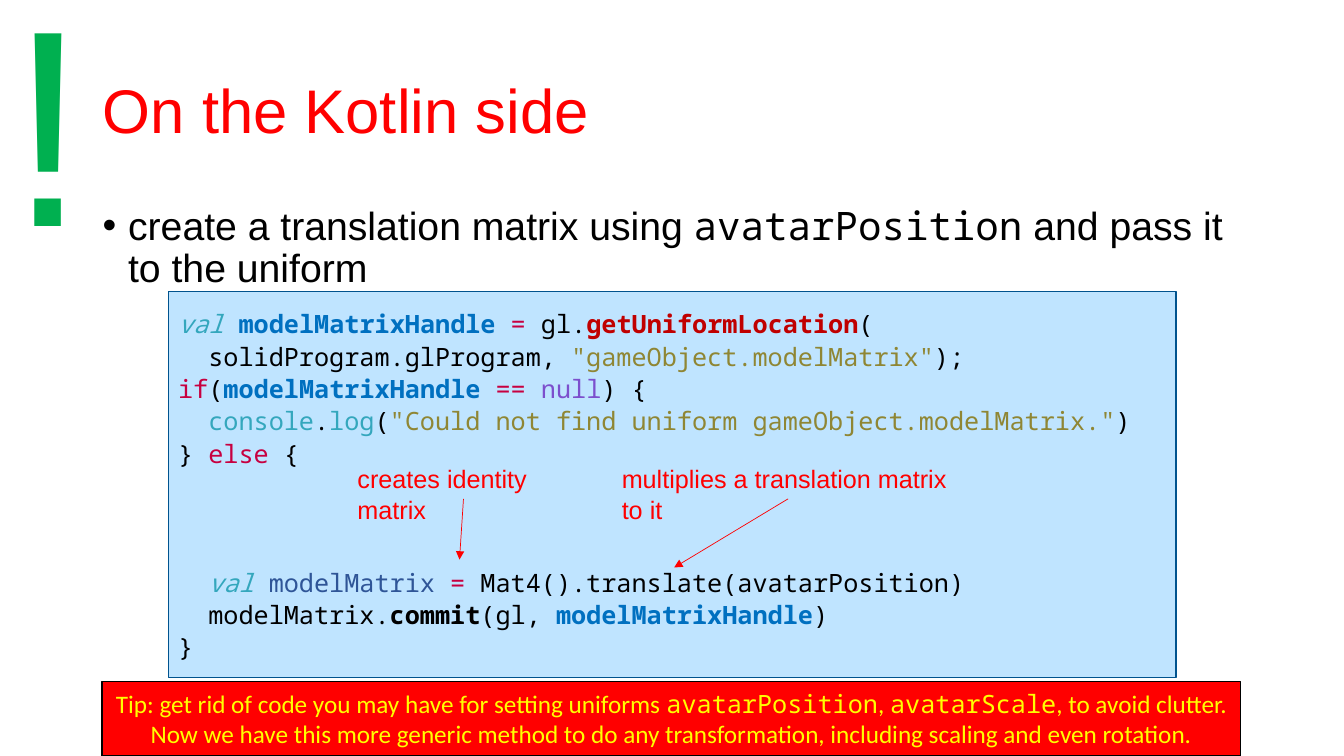
"""Build a slide about passing a translation matrix to a uniform from Kotlin."""
from dataclasses import dataclass

from lxml import etree
from pptx import Presentation
from pptx.dml.color import RGBColor
from pptx.enum.shapes import MSO_CONNECTOR, MSO_SHAPE
from pptx.enum.text import MSO_ANCHOR, PP_ALIGN
from pptx.oxml.ns import qn
from pptx.util import Cm, Pt

RECTANGLE = MSO_SHAPE.RECTANGLE
STRAIGHT = MSO_CONNECTOR.STRAIGHT
TOP, MIDDLE = MSO_ANCHOR.TOP, MSO_ANCHOR.MIDDLE
LEFT, CENTER = PP_ALIGN.LEFT, PP_ALIGN.CENTER
TITLE_ONLY = 5


@dataclass(frozen=True)
class Theme:
    """Fonts, type sizes and colours of the slide."""
    sans: str = "Arial"
    mono: str = "Noto Sans Mono"
    tip_font: str = "Calibri"
    title_size: int = 44
    body_size: int = 28
    small_size: int = 18
    mark_size: int = 200
    black: str = "000000"
    red: str = "FF0000"
    yellow: str = "FFFF00"
    green: str = "00B050"
    code_fill: str = "BFE4FF"
    code_line: str = "00538E"
    type_name: str = "34A7BD"
    handle: str = "0070C0"
    keyword: str = "C70040"
    call: str = "C00000"
    string: str = "8F8634"
    constant: str = "7C4FCD"
    variable: str = "2F5597"


THEME = Theme()
PLAIN = {}
MONO = {"font": THEME.mono}
TYPE = {"color": THEME.type_name}
DECLARATION = {"color": THEME.type_name, "italic": True}
HANDLE = {"color": THEME.handle, "bold": True}
KEYWORD = {"color": THEME.keyword}
CALL = {"color": THEME.call, "bold": True}
STRING = {"color": THEME.string}
CONSTANT = {"color": THEME.constant}
VARIABLE = {"color": THEME.variable}
STRONG = {"bold": True}

CODE_INDENT = 0.76
ANNOTATION_GAP = 69
CODE_LINES = [
    (0, 0, [("val ", DECLARATION), ("modelMatrixHandle ", HANDLE), ("= ", KEYWORD),
            ("gl.", PLAIN), ("getUniformLocation", CALL), ("(", PLAIN)]),
    (1, 0, [("solidProgram.glProgram, ", PLAIN),
            ('"gameObject.modelMatrix"', STRING), (");", PLAIN)]),
    (0, 0, [("if", KEYWORD), ("(", PLAIN), ("modelMatrixHandle ", HANDLE),
            ("== ", KEYWORD), ("null", CONSTANT), (") {", PLAIN)]),
    (1, 0, [("console", TYPE), (".", PLAIN), ("log", TYPE), ("(", PLAIN),
            ('"Could not find uniform gameObject.modelMatrix."', STRING), (")", PLAIN)]),
    (0, 0, [("}", PLAIN), (" else ", KEYWORD), ("{", PLAIN)]),
    (1, ANNOTATION_GAP, [("val ", DECLARATION), ("modelMatrix ", VARIABLE), ("= ", KEYWORD),
                         ("Mat4().translate(avatarPosition)", PLAIN)]),
    (1, 0, [("modelMatrix.", PLAIN), ("commit", STRONG), ("(gl, ", PLAIN),
            ("modelMatrixHandle", HANDLE), (")", PLAIN)]),
    (0, 0, [("}", PLAIN)]),
]
ANNOTATIONS = [
    ("creates identity matrix", 8.76, 5.89, (11.68, 12.57), (11.58, 14.1)),
    ("multiplies a translation matrix to it", 15.42, 8.86, (19.86, 12.57), (16.99, 14.3)),
]


def format_run(run, text, *, font, size, color, bold=False, italic=False):
    """Put text into a run and format it."""
    run.text = text
    run.font.name = font
    run.font.size = Pt(size)
    run.font.color.rgb = RGBColor.from_string(color)
    run.font.bold = bold
    run.font.italic = italic


def write_paragraph(paragraph, content, *, align=LEFT, spacing=1.0, before=0,
                    margin=0, hanging=0, bullet=None, **base):
    """Fill a paragraph from a string or from (text, format) pairs."""
    paragraph.alignment = align
    paragraph.line_spacing = spacing
    paragraph.space_before = Pt(before)
    properties = paragraph._p.get_or_add_pPr()
    properties.set("marL", str(Cm(margin)))
    properties.set("indent", str(-Cm(hanging)))
    if bullet:
        etree.SubElement(properties, qn("a:buFont"), typeface=THEME.sans)
        etree.SubElement(properties, qn("a:buChar"), char=bullet)
    pairs = [(content, PLAIN)] if isinstance(content, str) else content
    for text, changes in pairs:
        format_run(paragraph.add_run(), text, **{**base, **changes})


def place(shape, left, top, width, height):
    """Move and size a shape in centimetres."""
    shape.left, shape.top = Cm(left), Cm(top)
    shape.width, shape.height = Cm(width), Cm(height)


def add_title(slide, text):
    """Position and write the title placeholder."""
    title = slide.shapes.title
    place(title, 2.34, 1.02, 29.21, 3.68)
    title.text_frame.vertical_anchor = MIDDLE
    write_paragraph(title.text_frame.paragraphs[0], text, spacing=0.9,
                    font=THEME.sans, size=THEME.title_size, color=THEME.red)


def add_text(slide, content, box, **text_format):
    """Add a wrapping text box with one paragraph."""
    frame = slide.shapes.add_textbox(*map(Cm, box)).text_frame
    frame.word_wrap = True
    frame.vertical_anchor = TOP
    write_paragraph(frame.paragraphs[0], content, **text_format)


def add_panel(slide, box, fill, line):
    """Add a filled, outlined rectangle and return its text frame."""
    panel = slide.shapes.add_shape(RECTANGLE, *map(Cm, box))
    panel.shadow.inherit = False
    panel.fill.solid()
    panel.fill.fore_color.rgb = RGBColor.from_string(fill)
    panel.line.color.rgb = RGBColor.from_string(line)
    panel.line.width = Pt(1)
    panel.text_frame.word_wrap = True
    panel.text_frame.vertical_anchor = MIDDLE
    return panel.text_frame


def add_code(slide):
    """Add the code panel with its highlighted lines."""
    frame = add_panel(slide, (4.24, 7.34, 25.4, 9.73), THEME.code_fill, THEME.code_line)
    for number, (level, gap, runs) in enumerate(CODE_LINES):
        paragraph = frame.add_paragraph() if number else frame.paragraphs[0]
        write_paragraph(paragraph, runs, spacing=1.07, before=gap,
                        margin=level * CODE_INDENT, font=THEME.mono,
                        size=THEME.small_size, color=THEME.black)


def add_arrow(slide, start, end):
    """Add a thin red arrow."""
    arrow = slide.shapes.add_connector(STRAIGHT, *map(Cm, start + end))
    arrow.line.color.rgb = RGBColor.from_string(THEME.red)
    arrow.line.width = Pt(0.5)
    etree.SubElement(arrow.line._get_or_add_ln(), qn("a:tailEnd"), type="triangle")
    etree.SubElement(arrow._element.spPr, qn("a:effectLst"))


def add_tip(slide):
    """Add the tip bar at the bottom."""
    frame = add_panel(slide, (2.57, 17.17, 28.7, 1.88), THEME.red, THEME.black)
    runs = [("Tip: get rid of code you may have for setting uniforms ", PLAIN),
            ("avatarPosition", MONO), (", ", PLAIN), ("avatarScale", MONO),
            (", to avoid clutter. Now we have this more generic method to do any "
             "transformation, including scaling and even rotation.", PLAIN)]
    write_paragraph(frame.paragraphs[0], runs, align=CENTER, font=THEME.tip_font,
                    size=THEME.small_size, color=THEME.yellow)


def main():
    """Build and save the presentation."""
    presentation = Presentation()
    presentation.slide_width, presentation.slide_height = Cm(33.87), Cm(19.05)
    slide = presentation.slides.add_slide(presentation.slide_layouts[TITLE_ONLY])
    add_title(slide, "On the Kotlin side")
    add_text(slide, [("create a translation matrix using ", PLAIN), ("avatarPosition", MONO),
                     (" and pass it to the uniform", PLAIN)], (2.34, 5.08, 29.21, 12.09),
             spacing=0.9, before=10, margin=0.64, hanging=0.64, bullet="•",
             font=THEME.sans, size=THEME.body_size, color=THEME.black)
    add_code(slide)
    for text, left, width, start, end in ANNOTATIONS:
        add_text(slide, text, (left, 11.56, width, 1.02),
                 font=THEME.sans, size=THEME.small_size, color=THEME.red)
        add_arrow(slide, start, end)
    add_tip(slide)
    add_text(slide, "!", (0, -1.47, 1.45, 8.81),
             font=THEME.sans, size=THEME.mark_size, color=THEME.green)
    presentation.save("out.pptx")


if __name__ == "__main__":
    main()
